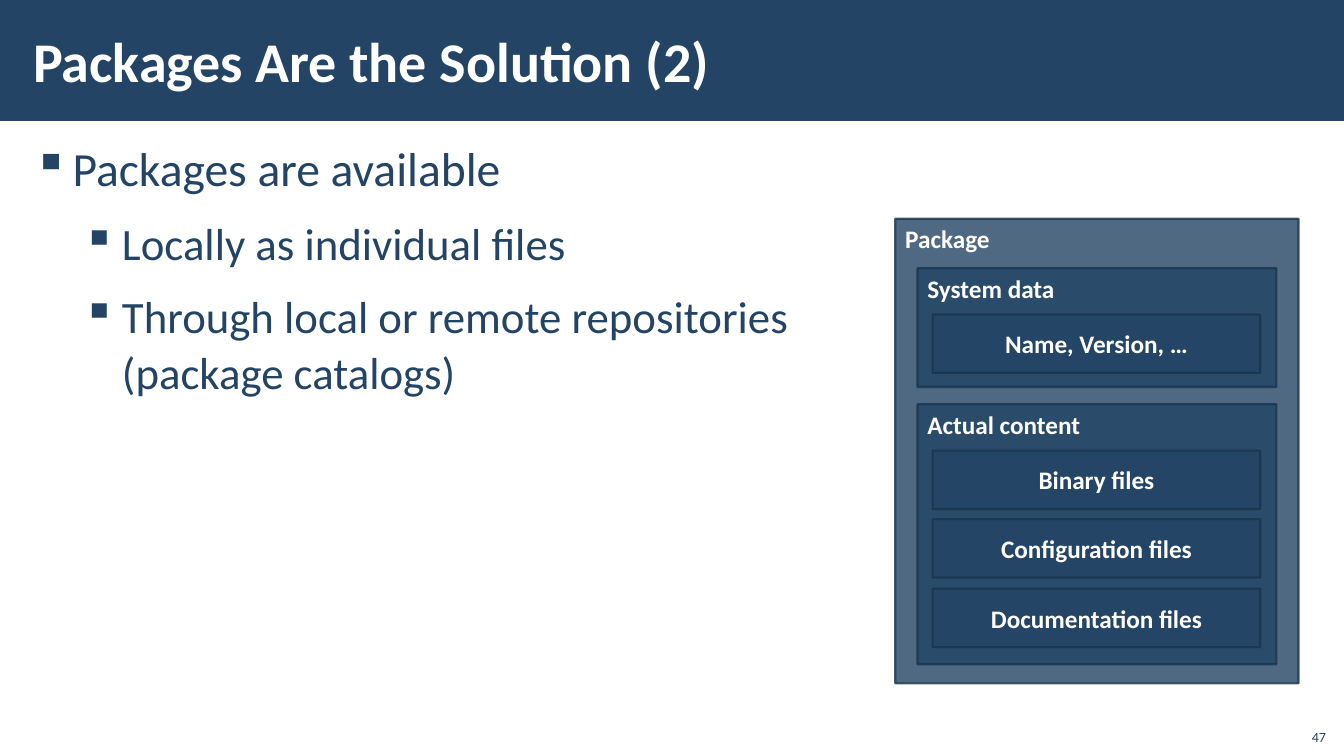
from lxml.etree import SubElement
from pptx import Presentation
from pptx.dml.color import RGBColor
from pptx.enum.shapes import MSO_SHAPE as Shape
from pptx.enum.text import MSO_ANCHOR as Anchor, PP_ALIGN as Align
from pptx.oxml.ns import qn
from pptx.util import Pt

PX = 9144  # 100 px to the inch
FONT = "Calibri"
COLORS = {"navy": "234465", "outline": "1A334C", "white": "FFFFFF"}


def rgb(name):
    return RGBColor.from_string(COLORS[name])


def add_run(para, text, size, color, bold=False):
    span = para.add_run()
    span.text = text
    span.font.name = FONT
    span.font.size = Pt(size)
    span.font.bold = bold
    span.font.color.rgb = rgb(color)


def set_insets(frame, side, edge):
    frame.margin_left = frame.margin_right = side * PX
    frame.margin_top = frame.margin_bottom = edge * PX


def add_text_box(page, area, anchor, insets=(12, 4)):
    frame = page.shapes.add_textbox(*(n * PX for n in area)).text_frame
    frame.word_wrap = True
    frame.vertical_anchor = anchor
    set_insets(frame, *insets)
    return frame


def add_rectangle(page, area):
    box = page.shapes.add_shape(Shape.RECTANGLE, *(n * PX for n in area))
    box.shadow.inherit = False
    box.fill.solid()
    box.fill.fore_color.rgb = rgb("navy")
    box.line.fill.background()
    return box


def add_package_box(page, area, label, centered=False):
    """A see-through box, labelled in its middle or at its top left."""
    box = add_rectangle(page, area)
    box.line.color.rgb = rgb("outline")
    box.line.width = Pt(1.5)
    for color in box._element.spPr.iter(qn("a:srgbClr")):
        SubElement(color, qn("a:alpha"), val="80000")
    frame = box.text_frame
    frame.word_wrap = True
    frame.vertical_anchor = Anchor.MIDDLE if centered else Anchor.TOP
    set_insets(frame, 10, 5)
    para = frame.paragraphs[0]
    para.alignment = Align.CENTER if centered else Align.LEFT
    add_run(para, label, 18, "white", bold=True)


def add_bullet(para, lines, level, first):
    props = para._p.get_or_add_pPr()
    props.set("marL", str((39, 88)[level] * PX))
    props.set("indent", str(-39 * PX))
    SubElement(props, qn("a:buChar"), char="▪")
    para.level = level
    para.line_spacing = 1.05
    para.space_before = Pt(0 if first else 6)
    para.space_after = Pt(6)
    for number, line in enumerate(lines):
        if number:
            para.add_line_break()
        add_run(para, line, (34, 32)[level], "navy")


def add_bullets(page, area, items):
    frame = add_text_box(page, area, Anchor.TOP)
    for number, (level, *lines) in enumerate(items):
        para = frame.add_paragraph() if number else frame.paragraphs[0]
        add_bullet(para, lines, level, first=number == 0)


def add_section(page, top, height, title, parts):
    """A titled part of the package with its rows inside."""
    add_package_box(page, (910, top, 356, height), title)
    for row, part in enumerate(parts):
        row_top = top + 46 + round(row * 68.5)
        add_package_box(page, (925, row_top, 325, 58), part, centered=True)


def main():
    deck = Presentation()
    deck.slide_width, deck.slide_height = 1333 * PX, 750 * PX
    page = deck.slides.add_slide(deck.slide_layouts[6])

    # Title band
    add_rectangle(page, (0, 0, 1333, 120))
    title = add_text_box(page, (21, 11, 1063, 97), Anchor.MIDDLE)
    add_run(title.paragraphs[0], "Packages Are the Solution (2)", 40, "white", bold=True)

    # Bullet list
    add_bullets(page, (21, 131, 1292, 605), [
        (0, "Packages are available"),
        (1, "Locally as individual files"),
        (1, "Through local or remote repositories", "(package catalogs)"),
    ])

    # Package diagram
    add_package_box(page, (888, 217, 400, 461), "Package")
    add_section(page, 266, 118, "System data", ["Name, Version, …"])
    add_section(page, 401, 258, "Actual content",
                ["Binary files", "Configuration files", "Documentation files"])

    # Page number
    number = add_text_box(page, (1285, 712, 40, 32), Anchor.BOTTOM, (10, 5))
    number.paragraphs[0].alignment = Align.RIGHT
    add_run(number.paragraphs[0], "47", 10, "navy")

    deck.save("out.pptx")


if __name__ == "__main__":
    main()
